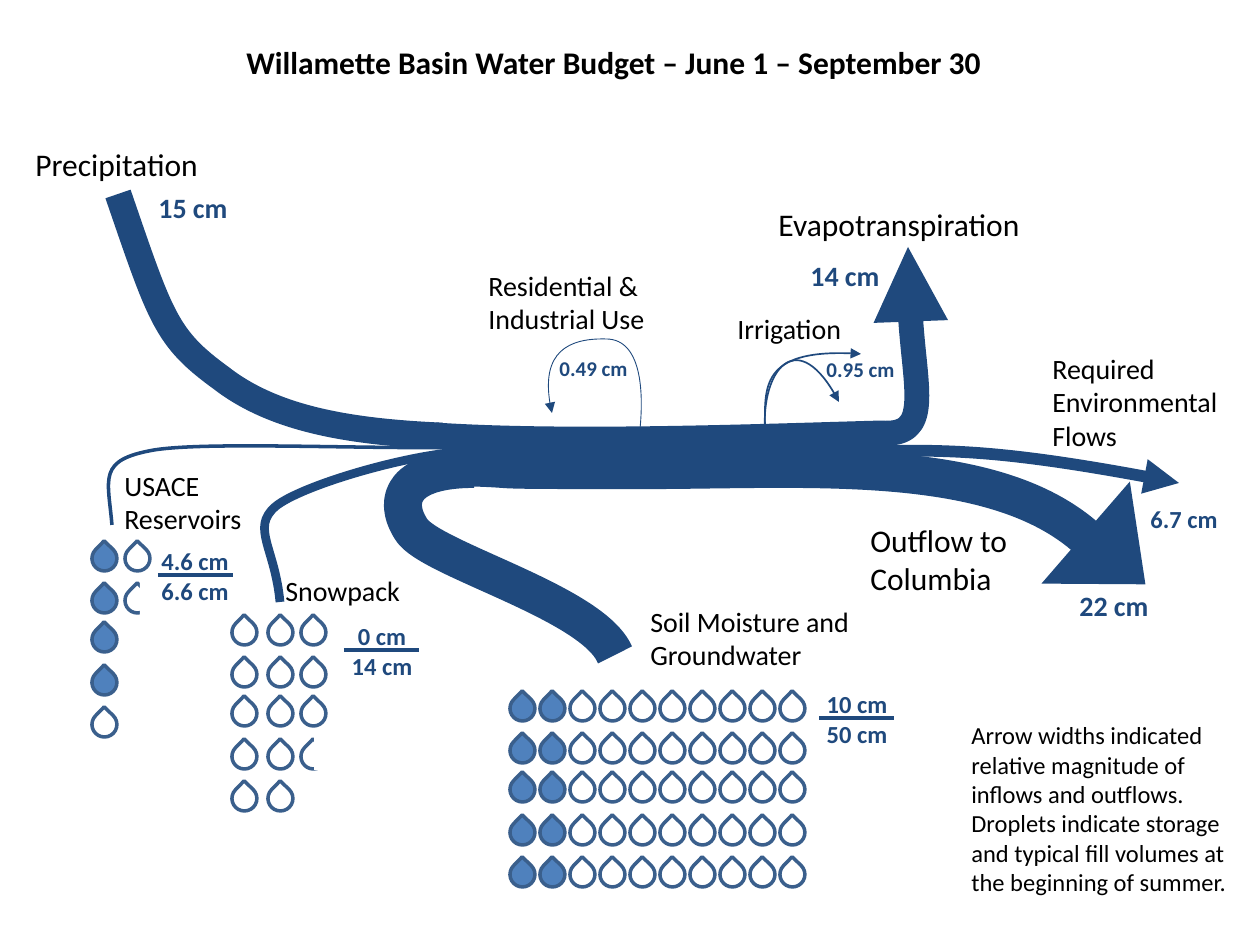
from lxml import etree
from pptx import Presentation
from pptx.dml.color import RGBColor
from pptx.enum.shapes import MSO_CONNECTOR, MSO_SHAPE
from pptx.enum.text import MSO_AUTO_SIZE, PP_ALIGN
from pptx.oxml.ns import qn
from pptx.util import Pt

PX = 914400 / 126
NAVY, BLUE, DROP_EDGE, WHITE, BLACK = "1F497D", "4F81BD", "3A5F8C", "FFFFFF", "000000"
LEFT, CENTER = PP_ALIGN.LEFT, PP_ALIGN.CENTER
TEAR, TRIANGLE, RECT = MSO_SHAPE.TEAR, MSO_SHAPE.ISOSCELES_TRIANGLE, MSO_SHAPE.RECTANGLE
STRAIGHT = MSO_CONNECTOR.STRAIGHT

DROP_SIZE = 25
DROP_ROWS = (0, 42, 81, 124, 166)

IRRIGATION_RISE = [(838, 465), (795, 469), (765, 466), (765, 428)]

# Line width, arrowhead, then a start point and three points for each curve
FLOWS = [
    (14.2, True, [(435, 435), (570, 444), (770, 436), (881, 433),
                  (932, 437), (908, 359), (908, 247)]),      # evapotranspiration
    (21.9, False, [(460, 467), (537, 469), (460, 470), (624, 470),
                   (801, 471), (995, 451), (1091, 542)]),    # outflow
    (6.7, True, [(474, 450), (556, 450), (639, 451), (721, 451),
                 (920, 456), (932, 435), (1179, 483)]),      # environmental flows
    (0.95, True, IRRIGATION_RISE + [(765, 388), (760, 347), (861, 354)]),
    (0.95, True, IRRIGATION_RISE + [(762, 372), (798, 323), (839, 402)]),
    (0.5, True, [(639, 438), (644, 399), (644, 339), (606, 339),
                 (568, 338), (538, 354), (552, 413)]),       # residential
    (2, False, [(475, 447), (378, 450), (210, 441), (154, 450),
                (97, 460), (108, 478), (112, 525)]),         # reservoirs
    (21.7, False, [(474, 469), (404, 469), (392, 499), (411, 529),
                   (428, 559), (593, 602), (615, 655)]),     # soil moisture
    (5, False, [(474, 451), (413, 452), (299, 486), (275, 507),
                (251, 528), (275, 548), (280, 602)]),        # snowpack
    (15.2, False, [(118, 194), (161, 319), (166, 338), (221, 378),
                   (275, 420), (352, 432), (442, 436)]),     # precipitation
]

# Text, box, size, wrap
LABELS = [
    ("Required Environmental Flows", (1040, 345, 210, 115), 16, True),
    ("Evapotranspiration", (766, 199, 270, 50), 18, False),
    ("Residential & Industrial Use", (476, 262, 217, 81), 16, True),
    ("Irrigation", (725, 305, 131, 47), 16, False),
    ("Precipitation", (23, 139, 190, 50), 18, False),
    ("Outflow to Columbia", (858, 515, 176, 89), 18, True),
    ("Snowpack", (273, 567, 141, 47), 16, False),
    ("USACE\nReservoirs", (112, 462, 150, 81), 16, True),
    ("Soil Moisture and Groundwater", (638, 598, 239, 81), 16, True),
    ("Arrow widths indicated relative magnitude of inflows and outflows. "
     "Droplets indicate storage and typical fill volumes at the beginning of summer.",
     (959, 714, 291, 190), 14, True),
]

AMOUNTS = [
    ("15 cm", (146, 184, 96, 47), 16),
    ("14 cm", (798, 252, 96, 47), 16),
    ("22 cm", (1067, 582, 96, 47), 16),
    ("0.95 cm", (814, 350, 94, 38), 12),
    ("0.49 cm", (547, 349, 94, 38), 12),
    ("6.7 cm", (1138, 498, 93, 43), 14),
]


def px(length):
    return round(length * PX)


def color(hex_code):
    return RGBColor.from_string(hex_code)


def add_text(slide, text, box, size, wrap, hex_code=BLACK, bold=False, align=LEFT):
    frame = slide.shapes.add_textbox(*map(px, box)).text_frame
    frame.word_wrap = wrap
    frame.auto_size = MSO_AUTO_SIZE.SHAPE_TO_FIT_TEXT
    frame.text = text
    for paragraph in frame.paragraphs:
        paragraph.alignment = align
        for run in paragraph.runs:
            run.font.name = "Calibri"
            run.font.size = Pt(size)
            run.font.bold = bold
            run.font.color.rgb = color(hex_code)


def add_solid(shapes, kind, box, fill, edge=None, rotation=0):
    solid = shapes.add_shape(kind, *map(px, box))
    solid.shadow.inherit = False
    solid.rotation = rotation
    solid.fill.solid()
    solid.fill.fore_color.rgb = color(fill)
    if edge:
        solid.line.color.rgb = color(edge)
        solid.line.width = Pt(2)
    else:
        solid.line.fill.background()


def bezier_point(curve, t):
    weights = ((1 - t) ** 3, 3 * t * (1 - t) ** 2, 3 * t ** 2 * (1 - t), t ** 3)
    return tuple(round(sum(w * p[axis] for w, p in zip(weights, curve))) for axis in (0, 1))


def add_flow(slide, width, arrow, points):
    """Size the outline from points along the curves, then store true Bezier segments."""
    points = [(px(x), px(y)) for x, y in points]
    curves = [points[i:i + 4] for i in range(0, len(points) - 1, 3)]
    builder = slide.shapes.build_freeform(*points[0])
    builder.add_line_segments(
        [bezier_point(curve, step / 40) for curve in curves for step in range(1, 41)],
        close=False)
    flow = builder.convert_to_shape()
    outline = next(flow.element.iter(qn("a:path")))
    for segment in outline.findall(qn("a:lnTo")):
        outline.remove(segment)
    for curve in curves:
        segment = etree.SubElement(outline, qn("a:cubicBezTo"))
        for x, y in curve[1:]:
            etree.SubElement(segment, qn("a:pt"), x=str(x - flow.left), y=str(y - flow.top))
    flow.shadow.inherit = False
    flow.fill.background()
    flow.line.color.rgb = color(NAVY)
    flow.line.width = Pt(width)
    if arrow:
        etree.SubElement(flow.line._get_or_add_ln(), qn("a:tailEnd"), type="triangle")


def add_storage(slide, left, top, columns, mask=None):
    """Draw columns of (offset, droplets, filled droplets); mask hides part of a droplet."""
    shapes = slide.shapes.add_group_shape().shapes
    for offset, count, filled in columns:
        for row, drop_top in enumerate(DROP_ROWS[:count]):
            add_solid(shapes, TEAR, (left + offset, top + drop_top, DROP_SIZE, DROP_SIZE),
                      BLUE if row < filled else WHITE, DROP_EDGE, 314.1)
    if mask:
        x, y, width, height = mask
        add_solid(shapes, RECT, (left + x, top + y, width, height), WHITE)


def add_ratio(slide, left, top, width, stored, capacity, align=CENTER):
    """Stack stored amount over capacity with a rule between them."""
    add_text(slide, f"{stored}\n{capacity}", (left, top, width, 72), 14, True,
             NAVY, True, align)
    rule_left = left + (width - 75) // 2
    rule = slide.shapes.add_connector(
        STRAIGHT, *map(px, (rule_left, top + 35, rule_left + 75, top + 35)))
    rule.line.color.rgb = color(NAVY)
    rule.line.width = Pt(2.25)
    etree.SubElement(rule.element.spPr, qn("a:effectLst"))


def main():
    deck = Presentation()
    deck.slide_width, deck.slide_height = px(1260), px(945)
    slide = deck.slides.add_slide(deck.slide_layouts[6])

    for flow in FLOWS:
        add_flow(slide, *flow)
    add_solid(slide.shapes, TRIANGLE, (1048, 519, 135, 79), NAVY, rotation=130.9)

    add_storage(slide, 510, 696, [(30 * i, 5, 5 if i < 2 else 0) for i in range(10)])
    add_storage(slide, 232, 620, [(0, 5, 0), (36, 5, 0), (69, 4, 0)], (82, 116, 16, 34))
    add_storage(slide, 92, 546, [(0, 5, 4), (33, 2, 0)], (48, 36, 28, 39))

    add_text(slide, "Willamette Basin Water Budget – June 1 – September 30",
             (234, 37, 767, 50), 18, False, bold=True)
    for label in LABELS:
        add_text(slide, *label)
    for amount, box, size in AMOUNTS:
        add_text(slide, amount, box, size, False, NAVY, True)

    add_ratio(slide, 149, 540, 94, "4.6 cm", "6.6 cm", LEFT)
    add_ratio(slide, 323, 615, 118, "0 cm", "14 cm")
    add_ratio(slide, 798, 683, 118, "10 cm", "50 cm")
    deck.save("out.pptx")


if __name__ == "__main__":
    main()
